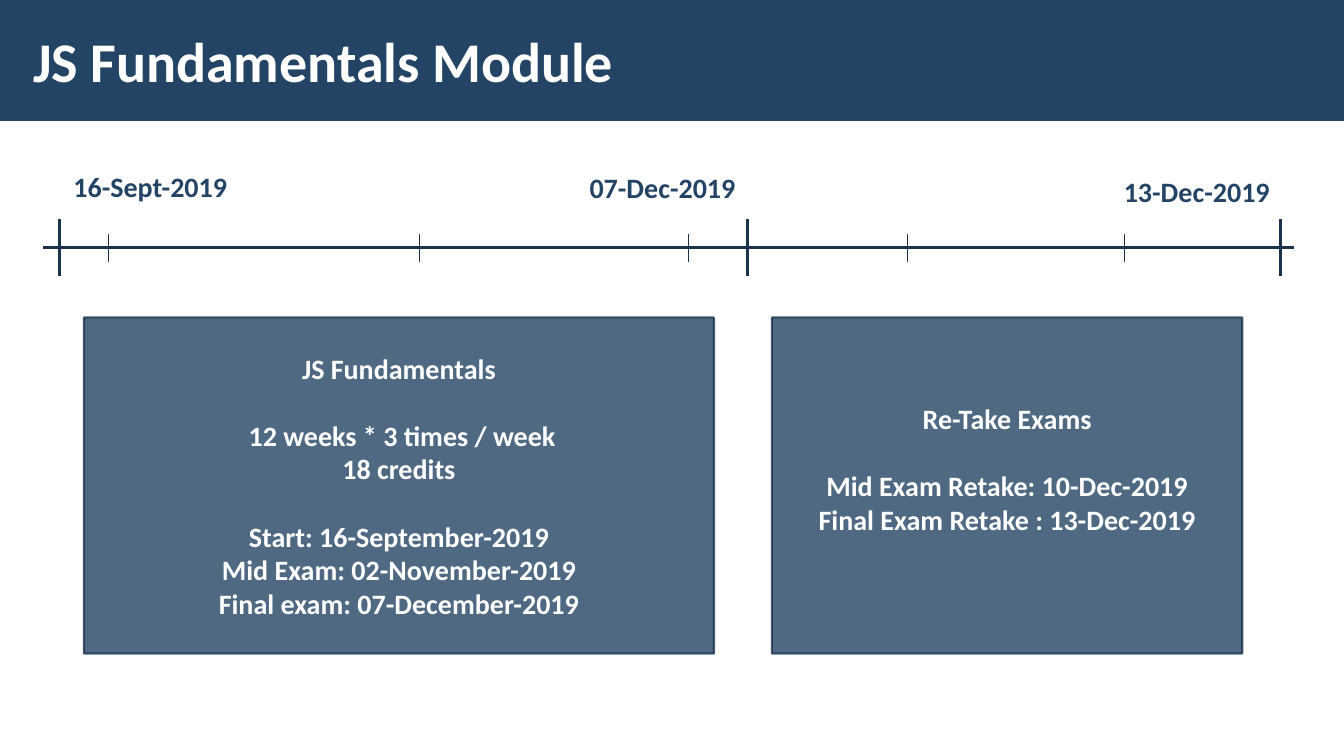
from dataclasses import dataclass

from lxml import etree
from pptx import Presentation
from pptx import util as u
from pptx.dml.color import RGBColor
from pptx.enum import shapes, text
from pptx.oxml import ns

WHITE = RGBColor(0xFF, 0xFF, 0xFF)
BLUE = RGBColor(0x23, 0x44, 0x65)
NAVY = RGBColor(0x1A, 0x33, 0x4C)

SLIDE_W, SLIDE_H = u.Inches(13.33), u.Inches(7.5)
COLS, ROWS = 160, 90
AXIS_ROW = 29.5
CARD_ROW, CARD_ROWS = 37.8, 40
FONT = "Calibri"
BODY_SIZE = 20
GAP = u.Pt(24)


@dataclass(frozen=True)
class Tick:
    col: float
    major: bool = False


@dataclass(frozen=True)
class DateLabel:
    caption: str
    col: float
    row: float
    cols: float


@dataclass(frozen=True)
class Card:
    col: float
    cols: float
    groups: tuple[tuple[str, ...], ...]
    bottom: float = 0.05


TICKS = (
    Tick(7.1, True), Tick(12.96), Tick(49.9), Tick(82),
    Tick(89, True), Tick(108), Tick(133.9), Tick(152.4, True),
)
DATES = (
    DateLabel("16-Sept-2019", 7.56, 19.56, 21),
    DateLabel("07-Dec-2019", 69, 19.68, 19.9),
    DateLabel("13-Dec-2019", 132.6, 20.16, 19.9),
)
CARDS = (
    Card(10, 75, (
        ("JS Fundamentals",),
        (" 12 weeks * 3 times / week", "18 credits"),
        ("Start: 16-September-2019", "Mid Exam: 02-November-2019",
         "Final exam: 07-December-2019"),
    )),
    Card(91.9, 56, (
        ("Re-Take Exams",),
        ("Mid Exam Retake: 10-Dec-2019", "Final Exam Retake : 13-Dec-2019"),
    ), 0.38),
)


def x(cols: float) -> int:
    return round(SLIDE_W * cols / COLS)


def y(rows: float) -> int:
    return round(SLIDE_H * rows / ROWS)


def format_runs(p, size: int, color: RGBColor) -> None:
    for r in p.runs:
        r.font.name = FONT
        r.font.size = u.Pt(size)
        r.font.bold = True
        r.font.color.rgb = color


def set_opacity(sp, percent: int) -> None:
    for color in sp._element.spPr.iter(ns.qn("a:srgbClr")):
        etree.SubElement(color, ns.qn("a:alpha"), val=str(percent * 1000))


def add_rect(s, col: float, row: float, cols: float, rows: float):
    sp = s.shapes.add_shape(shapes.MSO_SHAPE.RECTANGLE, x(col), y(row), x(cols), y(rows))
    sp.shadow.inherit = False
    sp.fill.solid()
    sp.fill.fore_color.rgb = BLUE
    return sp


def add_label(s, caption: str, col: float, row: float, cols: float, rows: float,
              size: int, color: RGBColor):
    tf = s.shapes.add_textbox(x(col), y(row), x(cols), y(rows)).text_frame
    tf.text = caption
    format_runs(tf.paragraphs[0], size, color)
    return tf


def add_line(s, col1: float, row1: float, col2: float, row2: float, width: float) -> None:
    line = s.shapes.add_connector(
        shapes.MSO_CONNECTOR.STRAIGHT, x(col1), y(row1), x(col2), y(row2))
    line.line.color.rgb = NAVY
    line.line.width = u.Pt(width)
    etree.SubElement(line._element.spPr, ns.qn("a:effectLst"))


def add_title(s) -> None:
    add_rect(s, 0, 0, COLS, 14.4).line.fill.background()
    tf = add_label(s, "JS Fundamentals Module", 2.5, 1.3, 124.7, 11.6, 40, WHITE)
    tf.word_wrap = True
    tf.vertical_anchor = text.MSO_ANCHOR.MIDDLE
    tf.margin_left = tf.margin_right = u.Inches(0.12)
    tf.margin_top = tf.margin_bottom = u.Inches(0.04)


def add_tick(s, tick: Tick) -> None:
    half, width = (3.4, 2.25) if tick.major else (1.7, 0.5)
    add_line(s, tick.col, AXIS_ROW - half, tick.col, AXIS_ROW + half, width)


def add_date(s, date: DateLabel) -> None:
    tf = add_label(s, date.caption, date.col, date.row, date.cols, 5.28, BODY_SIZE, BLUE)
    tf.word_wrap = False
    tf.auto_size = text.MSO_AUTO_SIZE.SHAPE_TO_FIT_TEXT


def add_card(s, card: Card) -> None:
    sp = add_rect(s, card.col, CARD_ROW, card.cols, CARD_ROWS)
    sp.line.color.rgb = NAVY
    sp.line.width = u.Pt(1.5)
    set_opacity(sp, 80)
    tf = sp.text_frame
    tf.word_wrap = True
    tf.vertical_anchor = text.MSO_ANCHOR.MIDDLE
    tf.margin_bottom = u.Inches(card.bottom)
    tf.text = "\n".join(line for group in card.groups for line in group)
    for p in tf.paragraphs:
        p.alignment = text.PP_ALIGN.CENTER
        format_runs(p, BODY_SIZE, WHITE)
    start = 0
    for group in card.groups[:-1]:
        start += len(group)
        tf.paragraphs[start].space_before = GAP


def main() -> None:
    prs = Presentation()
    prs.slide_width, prs.slide_height = SLIDE_W, SLIDE_H
    s = prs.slides.add_slide(prs.slide_layouts[6])
    add_title(s)
    add_line(s, 5.16, AXIS_ROW, 154, AXIS_ROW, 2.25)
    for tick in TICKS:
        add_tick(s, tick)
    for date in DATES:
        add_date(s, date)
    for card in CARDS:
        add_card(s, card)
    prs.save("out.pptx")


if __name__ == "__main__":
    main()
